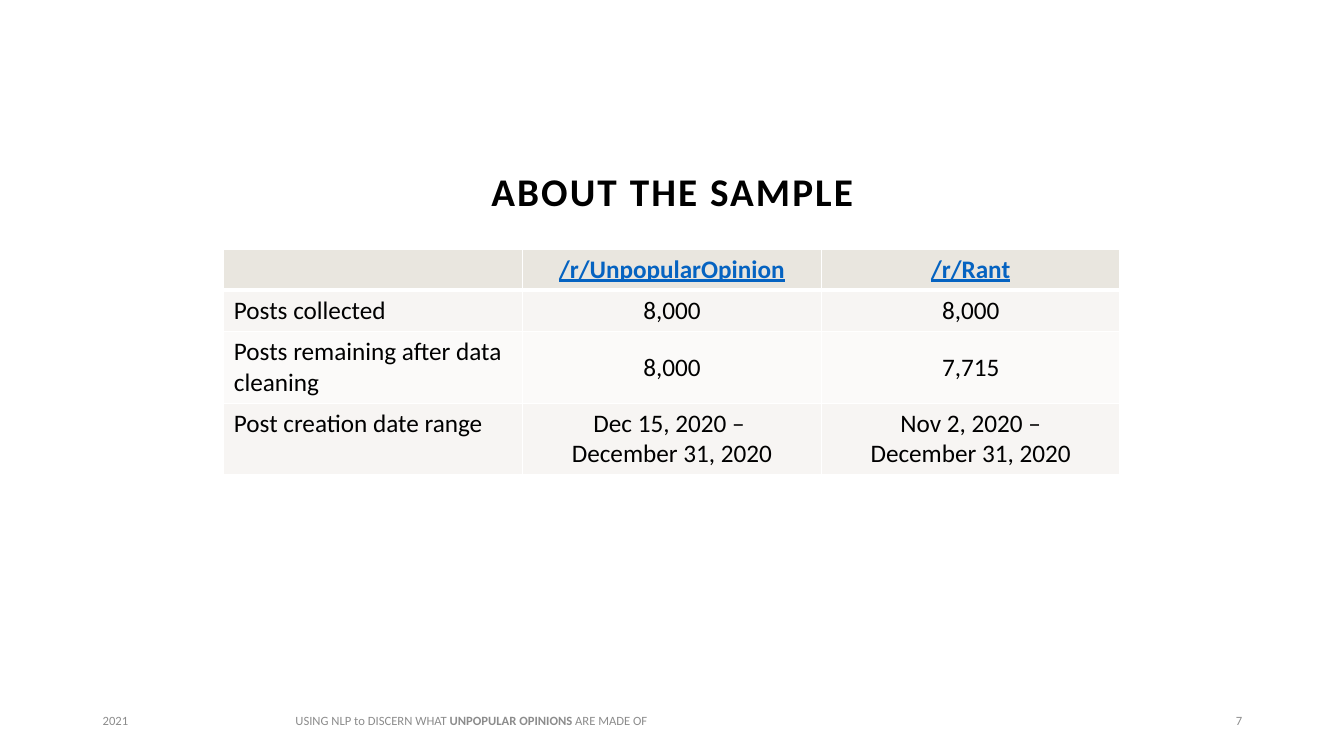
from lxml.etree import SubElement
from pptx import Presentation
from pptx.dml.color import RGBColor
from pptx.enum.text import MSO_ANCHOR as Anchor, PP_ALIGN as Align
from pptx.oxml.ns import qn
from pptx.util import Inches, Pt

FONT = "Calibri"
BLACK = RGBColor(0x00, 0x00, 0x00)
WHITE = RGBColor(0xFF, 0xFF, 0xFF)
GRAY = RGBColor(0x8C, 0x8C, 0x8C)
LINK_BLUE = RGBColor(0x05, 0x63, 0xC1)
HEADER_FILL = RGBColor(0xE9, 0xE6, 0xDF)
ODD_FILL = RGBColor(0xF7, 0xF5, 0xF3)
EVEN_FILL = RGBColor(0xFB, 0xFA, 0xF9)

SAMPLE_ROWS = [
    ["", "/r/UnpopularOpinion", "/r/Rant"],
    ["Posts collected", "8,000", "8,000"],
    ["Posts remaining after data cleaning", "8,000", "7,715"],
    ["Post creation date range", "Dec 15, 2020 – \nDecember 31, 2020",
     "Nov 2, 2020 –\nDecember 31, 2020"],
]
ROW_HEIGHTS = [0.41, 0.41, 0.71, 0.71]


def add_run(paragraph, text, size, color, bold=False, underline=False):
    run = paragraph.add_run()
    run.text = text
    font = run.font
    font.name, font.size, font.bold = FONT, Pt(size), bold
    font.underline = underline
    font.color.rgb = color
    return run


def add_text_box(slide, left, top, width, height, align):
    shape = slide.shapes.add_textbox(Inches(left), Inches(top), Inches(width), Inches(height))
    shape.text_frame.word_wrap = True
    shape.text_frame.vertical_anchor = Anchor.MIDDLE
    paragraph = shape.text_frame.paragraphs[0]
    paragraph.alignment = align
    return paragraph


def add_title(slide, left, top, width, height):
    paragraph = add_text_box(slide, left, top, width, height, Align.CENTER)
    paragraph.line_spacing = 0.9
    run = add_run(paragraph, "ABOUT THE SAMPLE", 28, BLACK, bold=True)
    run.font._element.set("spc", "150")


def set_borders(cell, widths):
    properties = cell._tc.get_or_add_tcPr()
    for side, width in zip("LRTB", widths):
        line = SubElement(properties, qn(f"a:ln{side}"), w=str(Pt(width)))
        fill = SubElement(line, qn("a:solidFill"))
        SubElement(fill, qn("a:srgbClr"), val=str(WHITE))


def fill_cell(cell, text, row, column):
    header = row == 0
    set_borders(cell, (1, 1, 3 if row == 1 else 1, 3 if header else 1))
    cell.fill.solid()
    cell.fill.fore_color.rgb = HEADER_FILL if header else ODD_FILL if row % 2 else EVEN_FILL
    if column and not header:
        cell.vertical_anchor = Anchor.MIDDLE
    for index, line in enumerate(text.split("\n")):
        frame = cell.text_frame
        paragraph = frame.add_paragraph() if index else frame.paragraphs[0]
        paragraph.alignment = Align.CENTER if column else Align.LEFT
        if line:
            add_run(paragraph, line, 18, LINK_BLUE if header else BLACK, header, header)


def add_sample_table(slide, left, top, width):
    columns = len(SAMPLE_ROWS[0])
    frame = slide.shapes.add_table(len(SAMPLE_ROWS), columns, Inches(left), Inches(top),
                                   Inches(width), Inches(sum(ROW_HEIGHTS)))
    table = frame.table
    for row, (texts, height) in enumerate(zip(SAMPLE_ROWS, ROW_HEIGHTS)):
        table.rows[row].height = Inches(height)
        for column, text in enumerate(texts):
            fill_cell(table.cell(row, column), text, row, column)


def add_footer(slide, left, top, width, height):
    date = add_text_box(slide, left, top, 1.33, height, Align.LEFT)
    add_run(date, "2021", 9, GRAY)
    talk = add_text_box(slide, left + 1.77, top, 3.97, height, Align.CENTER)
    add_run(talk, "USING NLP to DISCERN WHAT ", 9, GRAY)
    add_run(talk, "UNPOPULAR OPINIONS", 9, GRAY, bold=True)
    add_run(talk, " ARE MADE OF", 9, GRAY)
    number = add_text_box(slide, left + width - 3, top, 3, height, Align.RIGHT)
    add_run(number, "7", 9, GRAY)


def main():
    presentation = Presentation()
    presentation.slide_width, presentation.slide_height = Inches(13.33), Inches(7.5)
    slide = presentation.slides.add_slide(presentation.slide_layouts[6])
    slide.background.fill.solid()
    slide.background.fill.fore_color.rgb = WHITE
    add_title(slide, 0.92, 1.65, 11.5, 0.55)
    add_sample_table(slide, 2.22, 2.47, 8.89)
    add_footer(slide, 0.92, 6.95, 11.5, 0.4)
    presentation.save("out.pptx")


if __name__ == "__main__":
    main()
